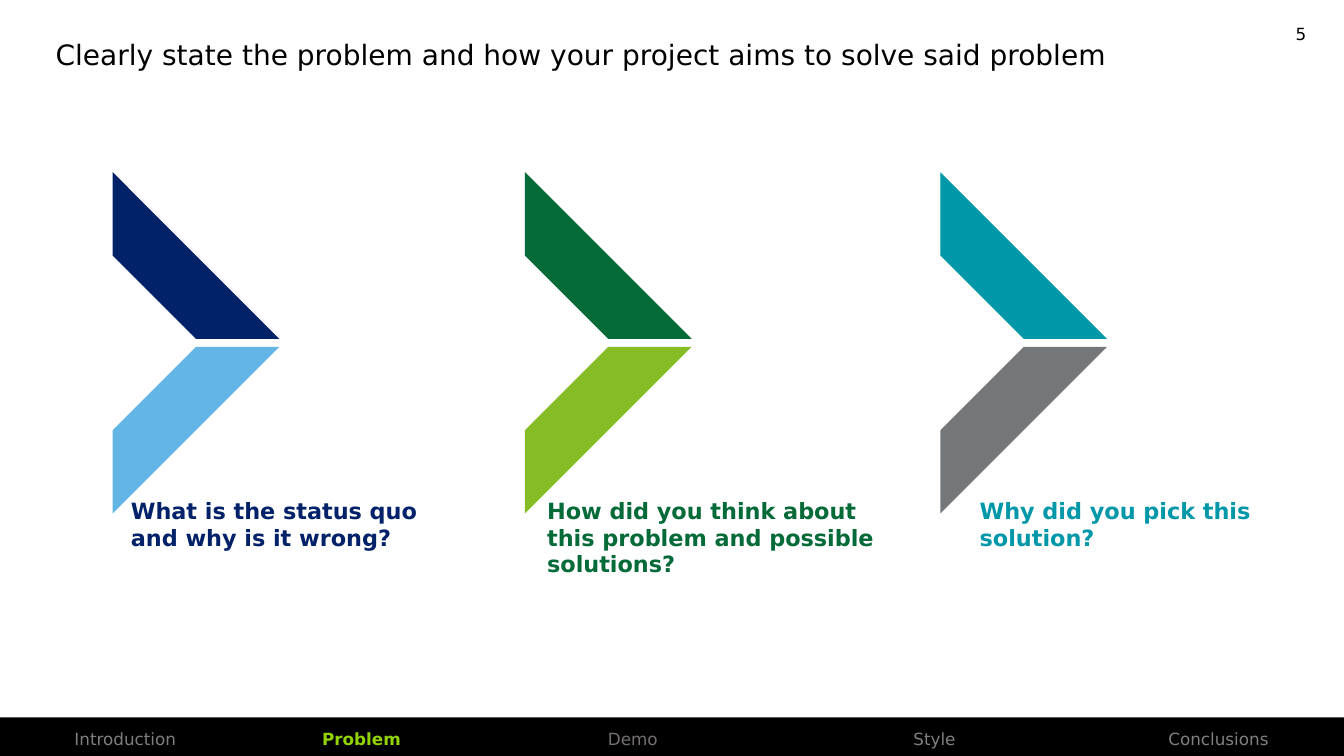
from pptx import Presentation
from pptx.dml.color import RGBColor
from pptx.enum import shapes, text
from pptx.util import Cm, Pt

FONT = "DejaVu Sans"
WIDE, HIGH = 33.87, 19.05
TITLE = "Clearly state the problem and how your project aims to solve said problem"

# question, arrow left, text left, text width, upper colour, lower colour
STEPS = [
    ("What is the status quo and why is it wrong?",
     2.84, 3.3, 7.37, "012169", "62B5E5"),
    ("How did you think about this problem and possible solutions?",
     13.23, 13.79, 8.59, "046A38", "86BC25"),
    ("Why did you pick this solution?",
     23.7, 24.69, 8.36, "0097A9", "75787B"),
]
# section, centre, colour, bold
TABS = [
    ("Introduction", 3.16, "7F7F7F", False),
    ("Problem", 9.11, "92D303", True),
    ("Demo", 15.95, "767171", False),
    ("Style", 23.55, "808080", False),
    ("Conclusions", 30.71, "808080", False),
]
SIDE, GAP, TOP = 4.2, 0.2, 4.34
BAR, TAB = 0.97, 5


def paint(kind, x, y, w, h, hue, flip=False):
    """Add a filled preset shape without line or shadow."""
    shape = slide.shapes.add_shape(kind, Cm(x), Cm(y), Cm(w), Cm(h))
    shape.shadow.inherit = False
    shape.fill.solid()
    shape.fill.fore_color.rgb = RGBColor.from_string(hue)
    shape.line.fill.background()
    if flip:
        shape._element.spPr.xfrm.set("flipV", "1")


def write(words, x, y, w, h, box=None, size=12, hue="000000", bold=False,
          align=text.PP_ALIGN.LEFT, anchor=text.MSO_ANCHOR.TOP, space=1.0):
    """Put formatted text in a given placeholder or in a new text box."""
    box = box or slide.shapes.add_textbox(0, 0, 0, 0)
    box.left, box.top, box.width, box.height = map(Cm, (x, y, w, h))
    frame = box.text_frame
    frame.word_wrap = True
    frame.auto_size = text.MSO_AUTO_SIZE.NONE
    frame.vertical_anchor = anchor
    frame.margin_left = frame.margin_right = 0
    frame.margin_top = frame.margin_bottom = 0
    para = frame.paragraphs[0]
    para.alignment, para.line_spacing = align, space
    run = para.add_run()
    run.text = words
    font = run.font
    font.name, font.size, font.bold = FONT, Pt(size), bold
    font.color.rgb = RGBColor.from_string(hue)


deck = Presentation()
deck.slide_width, deck.slide_height = Cm(WIDE), Cm(HIGH)
slide = deck.slides.add_slide(deck.slide_layouts[5])

write(TITLE, 1.4, 0.89, 31, 0.94, box=slide.shapes.title, size=20,
      anchor=text.MSO_ANCHOR.MIDDLE)
write("5", 32.05, 0.61, 0.87, 0.5, align=text.PP_ALIGN.RIGHT)

paint(shapes.MSO_SHAPE.RECTANGLE, 0, HIGH - BAR, WIDE, BAR, "000000")
for name, mid, hue, bold in TABS:
    write(name, mid - TAB / 2, 18.34, TAB, 0.61, hue=hue, bold=bold,
          align=text.PP_ALIGN.CENTER, anchor=text.MSO_ANCHOR.MIDDLE, space=0.9)

stripe = shapes.MSO_SHAPE.DIAGONAL_STRIPE
for ask, left, start, width, dark, light in STEPS:
    paint(stripe, left, TOP + SIDE + GAP, SIDE, SIDE, light)
    paint(stripe, left, TOP, SIDE, SIDE, dark, flip=True)
    write(ask, start, 12.52, width, 2.06, size=16, hue=dark, bold=True)

deck.save("out.pptx")
